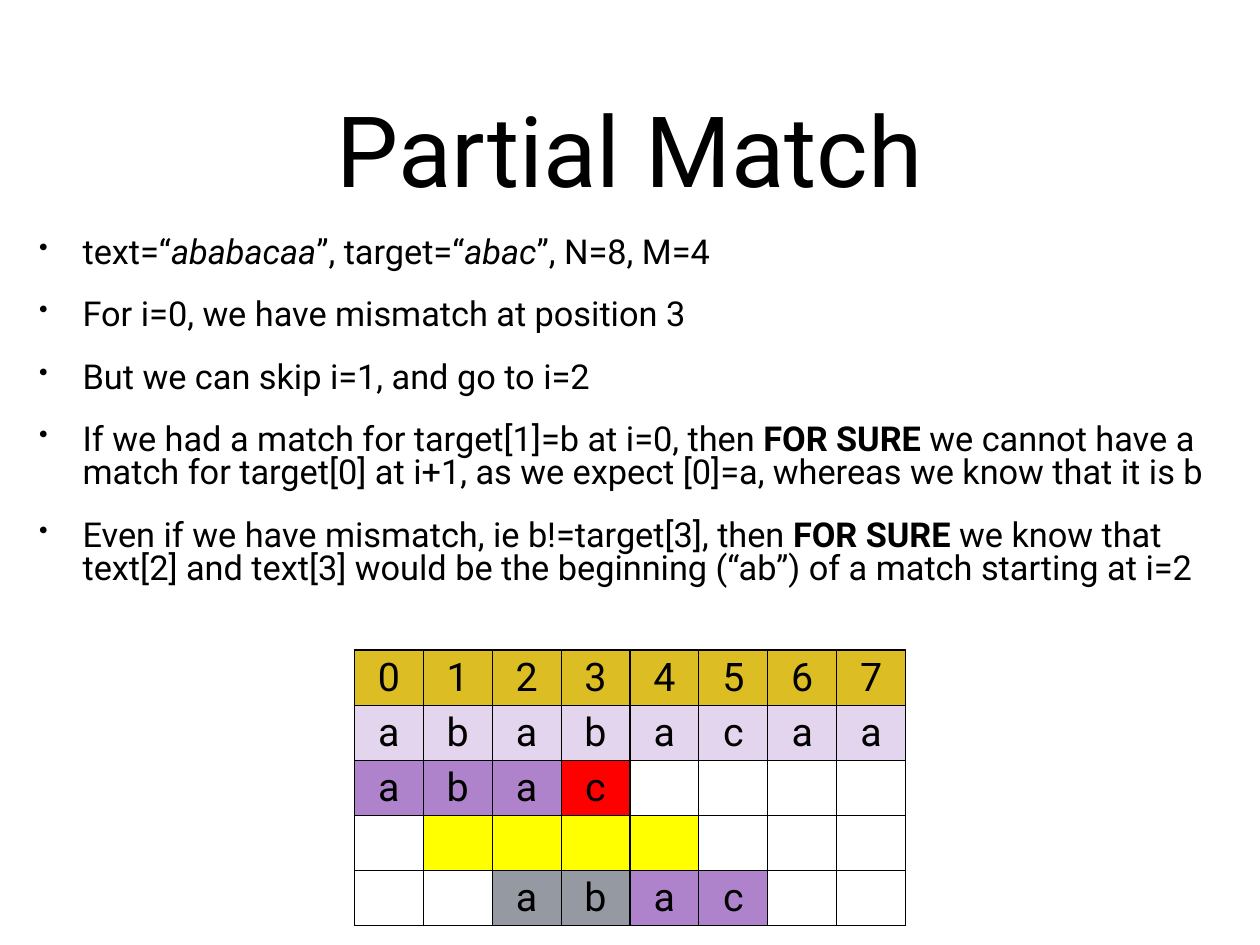
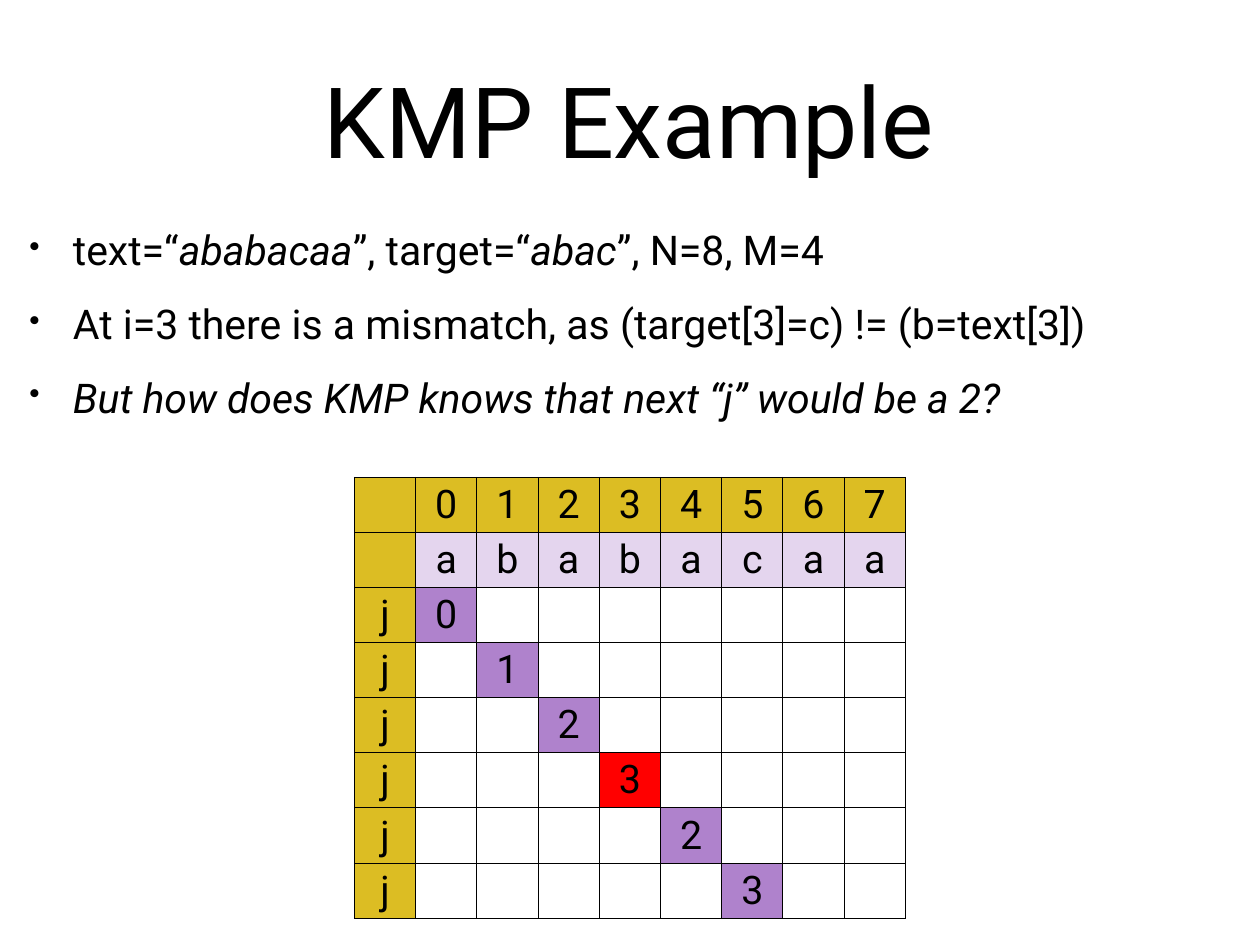
from dataclasses import dataclass

from lxml import etree
from pptx import Presentation
from pptx.dml.color import RGBColor
from pptx.enum.text import MSO_ANCHOR as Anchor, MSO_AUTO_SIZE as AutoSize, PP_ALIGN as Align
from pptx.oxml import parse_xml
from pptx.oxml.ns import nsdecls, qn
from pptx.util import Cm, Pt


@dataclass(frozen=True)
class Theme:
    font: str = "Roboto"
    ink: str = "000000"
    header: str = "DCBD23"
    text_row: str = "E4D5EE"
    match: str = "AF82CC"
    mismatch: str = "FF0000"
    skipped: str = "FFFF00"
    known: str = "959AA2"
    title_size: float = 80
    cell_size: float = 32
    inset: float = 0.15
    indent: float = 1.25
    row_height: float = 1.58


THEME = Theme()
FILLS = {"H": THEME.header, "T": THEME.text_row, "M": THEME.match,
         "X": THEME.mismatch, "S": THEME.skipped, "K": THEME.known}
TEXT = "ababacaa"
POSITIONS = "01234567"
INTRO = ["text=“", (TEXT, "italic"), "”, target=“", ("abac", "italic"), "”, N=8, M=4"]


def write(paragraph, text, size, bold=False, italic=False, align=None):
    """Add one formatted run to a paragraph."""
    run = paragraph.add_run()
    run.text = text
    font = run.font
    font.name, font.size = THEME.font, Pt(size)
    font.bold, font.italic = bold, italic
    font.color.rgb = RGBColor.from_string(THEME.ink)
    if align is not None:
        paragraph.alignment = align


def prepare_frame(frame):
    frame.word_wrap = True
    frame.auto_size = AutoSize.NONE
    frame.vertical_anchor = Anchor.MIDDLE
    frame.margin_left = frame.margin_right = Cm(THEME.inset)
    frame.margin_top = frame.margin_bottom = Cm(THEME.inset)


def add_title(slide, box, text):
    title = slide.shapes.title
    title.left, title.top, title.width, title.height = map(Cm, box)
    prepare_frame(title.text_frame)
    write(title.text_frame.paragraphs[0], text, THEME.title_size, align=Align.CENTER)


def set_bullet(paragraph):
    properties = paragraph._p.get_or_add_pPr()
    properties.set("marL", str(Cm(THEME.indent)))
    properties.set("indent", str(-Cm(THEME.indent)))
    etree.SubElement(properties, qn("a:buSzPct")).set("val", "75000")
    etree.SubElement(properties, qn("a:buChar")).set("char", "•")


def add_bullets(slide, box, items, size, line_spacing):
    """Each item is a list of plain strings and (string, style) pairs."""
    frame = slide.shapes.add_textbox(*map(Cm, box)).text_frame
    prepare_frame(frame)
    for index, item in enumerate(items):
        paragraph = frame.add_paragraph() if index else frame.paragraphs[0]
        paragraph.line_spacing = line_spacing
        paragraph.space_before = Pt(24)
        set_bullet(paragraph)
        for part in item:
            text, style = (part, "") if isinstance(part, str) else part
            write(paragraph, text, size, bold=style == "bold", italic=style == "italic")


def add_borders(cell):
    properties = cell._tc.get_or_add_tcPr()
    for side in ("lnL", "lnR", "lnT", "lnB"):
        properties.append(parse_xml(
            f'<a:{side} {nsdecls("a")} w="{Pt(1)}"><a:solidFill>'
            f'<a:srgbClr val="{THEME.ink}"/></a:solidFill></a:{side}>'))


def add_grid(slide, left, top, width, rows):
    """Each row is a pair of strings: one letter and one fill code per cell."""
    columns = len(rows[0][0])
    table = slide.shapes.add_table(
        len(rows), columns, Cm(left), Cm(top), Cm(width),
        Cm(THEME.row_height * len(rows))).table
    table.first_row = table.horz_banding = False
    for row_index, (letters, codes) in enumerate(rows):
        for column, (letter, code) in enumerate(zip(letters, codes)):
            cell = table.cell(row_index, column)
            add_borders(cell)
            if code in FILLS:
                cell.fill.solid()
                cell.fill.fore_color.rgb = RGBColor.from_string(FILLS[code])
            else:
                cell.fill.background()
            if letter != " ":
                write(cell.text_frame.paragraphs[0], letter, THEME.cell_size,
                      align=Align.CENTER)


def add_partial_match(slide):
    add_title(slide, (2.64, 1.24, 30.84, 6), "Partial Match")
    add_bullets(slide, (0.97, 5.92, 34.57, 11.81), [
        INTRO,
        ["For i=0, we have mismatch at position 3"],
        ["But we can skip i=1, and go to i=2"],
        ["If we had a match for target[1]=b at i=0, then ", ("FOR SURE ", "bold"),
         "we cannot have a match for target[0] at i+1, as we expect [0]=a, "
         "whereas we know that it is b"],
        ["Even if we have mismatch, ie b!=target[3], then ", ("FOR SURE ", "bold"),
         "we know that text[2] and text[3] would be the beginning (“ab”) "
         "of a match starting at i=2"],
    ], size=27.9, line_spacing=0.8)
    # Text row, then the target tried at i=0, 1 and 2
    add_grid(slide, 10.16, 18.64, 15.8, [
        (POSITIONS, "H" * 8),
        (TEXT, "T" * 8),
        ("abac    ", "MMMX    "),
        (" " * 8, " SSSS   "),
        ("  abac  ", "  KKMM  "),
    ])


def add_kmp_example(slide):
    add_title(slide, (2.62, 0.41, 30.84, 6), "KMP Example")
    add_bullets(slide, (0.69, 6.4, 34.72, 5.92), [
        INTRO,
        ["At i=3 there is a mismatch, as (target[3]=c) != (b=text[3])"],
        [("But how does KMP knows that next “j” would be a 2?", "italic")],
    ], size=33.3, line_spacing=0.9)
    # The value of j moves one column right with each step
    steps = [("j" + (" " * i + j).ljust(8), "H" + (" " * i + code).ljust(8))
             for i, (j, code) in enumerate(zip("012323", "MMMXMM"))]
    add_grid(slide, 10.16, 13.69, 15.8, [
        (" " + POSITIONS, "H" * 9),
        (" " + TEXT, "H" + "T" * 8),
        *steps,
    ])


def main():
    presentation = Presentation()
    presentation.slide_width, presentation.slide_height = Cm(36.12), Cm(27.1)
    title_only = presentation.slide_layouts[5]
    for fill_slide in (add_partial_match, add_kmp_example):
        fill_slide(presentation.slides.add_slide(title_only))
    presentation.save("out.pptx")


if __name__ == "__main__":
    main()
